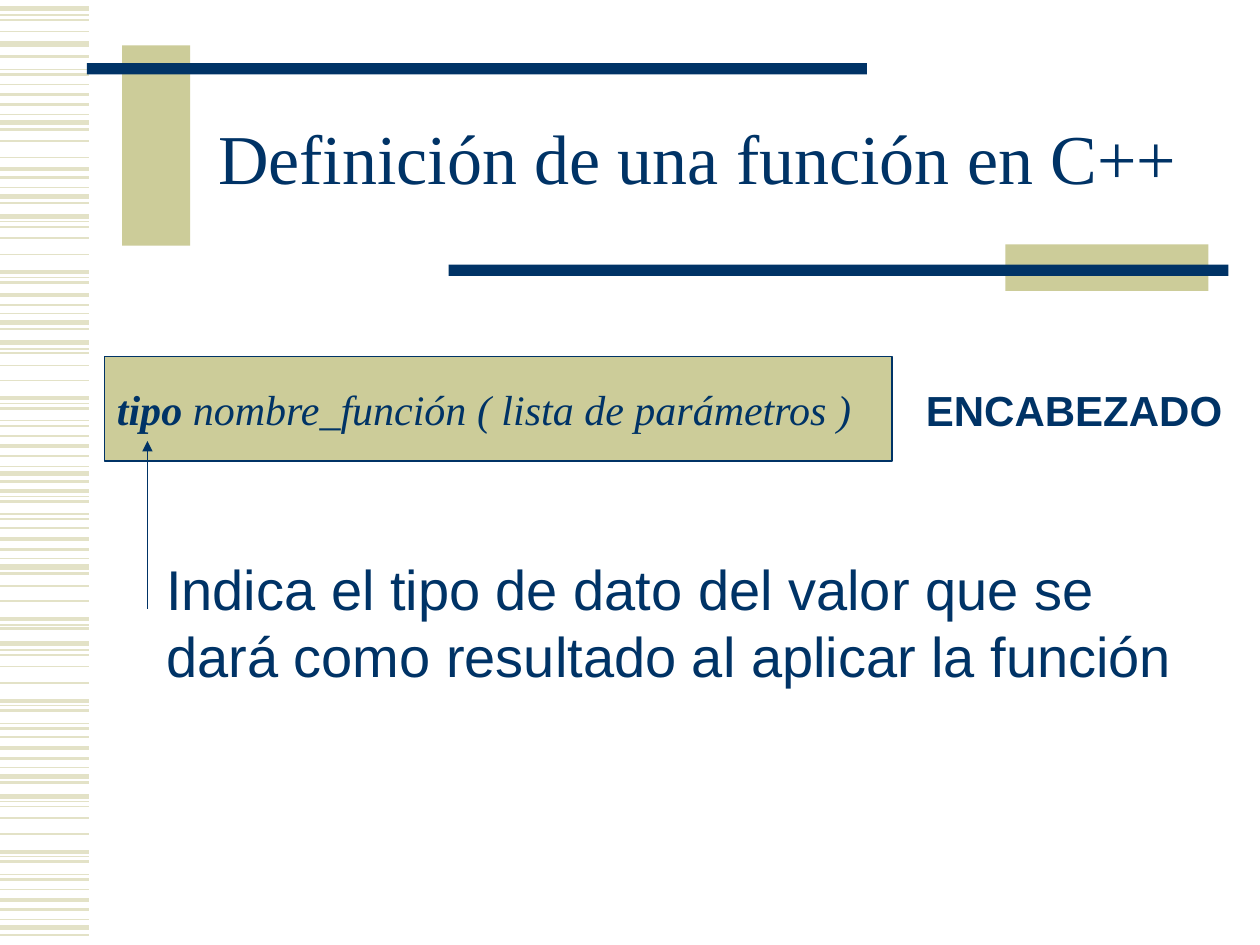
from lxml.etree import SubElement
from pptx import Presentation
from pptx.dml.color import RGBColor
from pptx.enum.shapes import MSO_CONNECTOR, MSO_SHAPE
from pptx.enum.text import MSO_ANCHOR, MSO_AUTO_SIZE, PP_ALIGN
from pptx.oxml.ns import qn
from pptx.util import Inches, Pt

NAVY, OLIVE, PALE = "003366", "CCCC99", "E3E2C7"
SERIF, SANS = "Times New Roman", "Arial"

# Heights of the margin stripes, by line width in points
STRIPES = {
    0.75: [0.12, 0.55, 0.91, 1.49, 1.76, 2.2, 2.49, 2.77, 3.2, 3.34, 3.7, 3.94,
           4.08, 4.43, 4.96, 5.16, 5.6, 5.74, 6.09, 6.36, 6.8, 6.94, 7.3],
    1: [0.16, 0.25, 0.67, 1.12, 1.25, 1.8, 1.89, 2.02, 2.8, 2.9, 3.02, 3.46,
        4.19, 4.65, 4.77, 5.2, 5.29, 5.42, 5.85, 6.4, 6.49, 6.62, 7.06],
    1.5: [0.45, 0.59, 0.83, 1.03, 1.41, 1.61, 2.24, 2.42, 2.61, 3.24, 3.38,
          3.62, 3.82, 3.98, 4.12, 4.36, 4.55, 4.99, 5.64, 5.78, 6.02, 6.21,
          6.84, 6.98, 7.22, 7.42],
    2.25: [0.75, 1.34, 2.16, 2.34, 3.16, 3.54, 3.9, 4.28, 4.91, 5.56, 5.94,
           6.76, 7.14],
    3: [0.07, 0.35, 0.97, 1.56, 1.72, 2.56, 2.72, 3.76, 4.5, 5.11, 6.16, 6.32,
        7.36],
}


def color(value):
    return RGBColor.from_string(value)


def add_line(page, start, end, line_color, width, arrow=False):
    line = page.shapes.add_connector(
        MSO_CONNECTOR.STRAIGHT, *map(Inches, start + end))
    line.line.color.rgb = color(line_color)
    line.line.width = Pt(width)
    properties = line._element.spPr
    if arrow:
        SubElement(properties.find(qn("a:ln")), qn("a:tailEnd"), type="triangle")
    SubElement(properties, qn("a:effectLst"))


def add_block(page, place, fill, outline=None):
    block = page.shapes.add_shape(MSO_SHAPE.RECTANGLE, *map(Inches, place))
    block.shadow.inherit = False
    block.fill.solid()
    block.fill.fore_color.rgb = color(fill)
    if outline:
        block.line.color.rgb = color(outline)
        block.line.width = Pt(0.75)
    else:
        block.line.fill.background()
    return block


def add_span(para, text, size, font, bold=False, italic=False):
    span = para.add_run()
    span.text = text
    span.font.size = Pt(size)
    span.font.name = font
    span.font.bold = bold
    span.font.italic = italic
    span.font.color.rgb = color(NAVY)


def add_label(page, place, lines, size, bold=False):
    box = page.shapes.add_textbox(*map(Inches, place))
    frame = box.text_frame
    frame.word_wrap = False
    frame.auto_size = MSO_AUTO_SIZE.SHAPE_TO_FIT_TEXT
    for number, text in enumerate(lines):
        para = frame.add_paragraph() if number else frame.paragraphs[0]
        para.alignment = PP_ALIGN.LEFT
        add_span(para, text, size, SANS, bold)


def set_title(page, text):
    title = page.shapes.title
    title.left, title.top, title.width, title.height = map(
        Inches, (1.5, 0.67, 8.07, 1.25))
    title.text_frame.vertical_anchor = MSO_ANCHOR.MIDDLE
    title.text_frame.auto_size = MSO_AUTO_SIZE.NONE
    para = title.text_frame.paragraphs[0]
    para.alignment = PP_ALIGN.CENTER
    para.line_spacing = 0.85
    add_span(para, text, 40, SERIF)


def add_header_box(page):
    box = add_block(page, (0.83, 2.83, 6.25, 0.83), OLIVE, NAVY)
    frame = box.text_frame
    frame.word_wrap = True
    frame.vertical_anchor = MSO_ANCHOR.MIDDLE
    para = frame.paragraphs[0]
    para.alignment = PP_ALIGN.LEFT
    add_span(para, "tipo", 24, SERIF, bold=True, italic=True)
    add_span(para, " nombre_función ( lista de parámetros )", 24, SERIF, italic=True)


def main():
    deck = Presentation()
    deck.slide_width, deck.slide_height = Inches(10), Inches(7.5)
    page = deck.slides.add_slide(deck.slide_layouts[5])

    # Striped margin
    for width, heights in STRIPES.items():
        for height in heights:
            add_line(page, (0, height), (0.71, height), PALE, width)

    # Blocks and bars around the title
    add_block(page, (0.97, 0.36, 0.54, 1.59), OLIVE)
    add_block(page, (0.69, 0.5, 6.19, 0.09), NAVY)
    add_block(page, (7.98, 1.94, 1.61, 0.37), OLIVE)
    add_block(page, (3.56, 2.1, 6.19, 0.09), NAVY)
    set_title(page, "Definición de una función en C++")

    # Function header and its explanation
    add_header_box(page)
    add_label(page, (7.25, 3, 2.55, 0.5), ["ENCABEZADO"], 24, bold=True)
    add_line(page, (1.17, 4.83), (1.17, 3.5), NAVY, 0.75, arrow=True)
    add_label(page, (1.22, 4.35, 8.19, 1.17),
              ["Indica el tipo de dato del valor que se",
               "dará como resultado al aplicar la función"], 32)

    deck.save("out.pptx")


if __name__ == "__main__":
    main()
